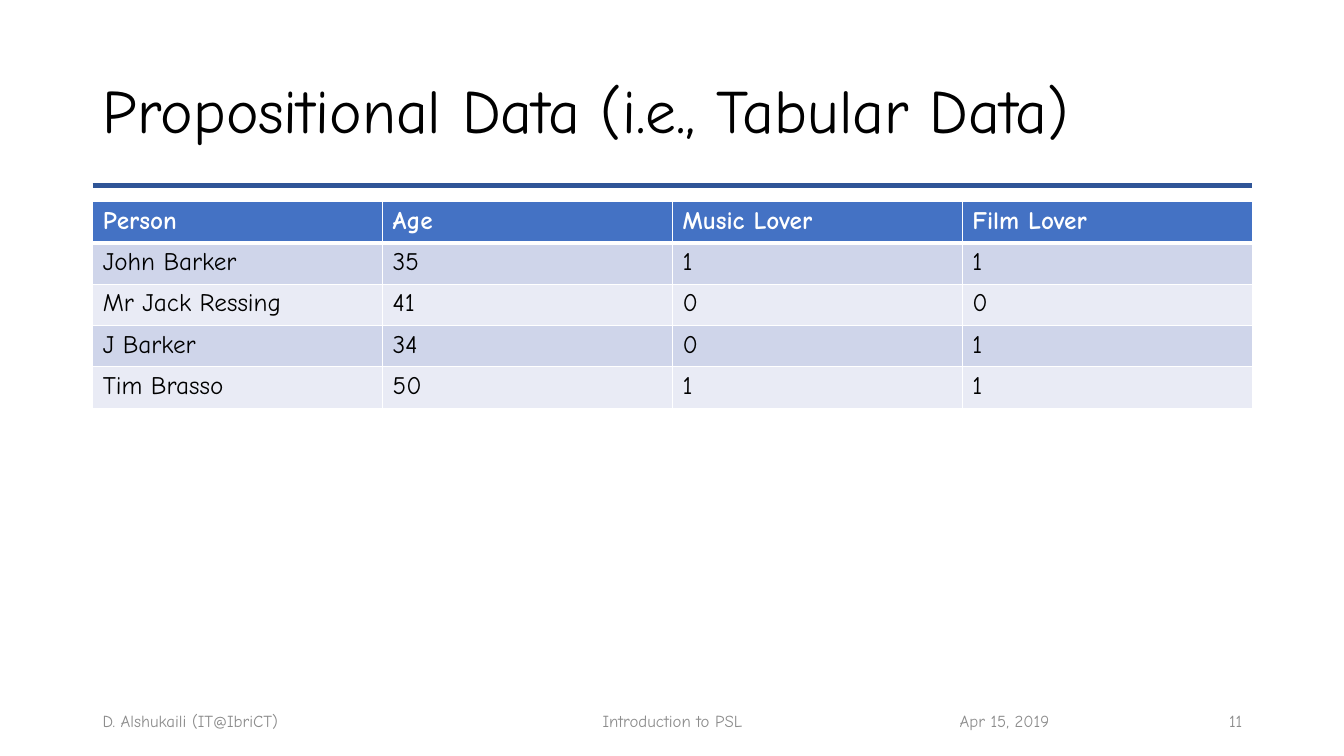
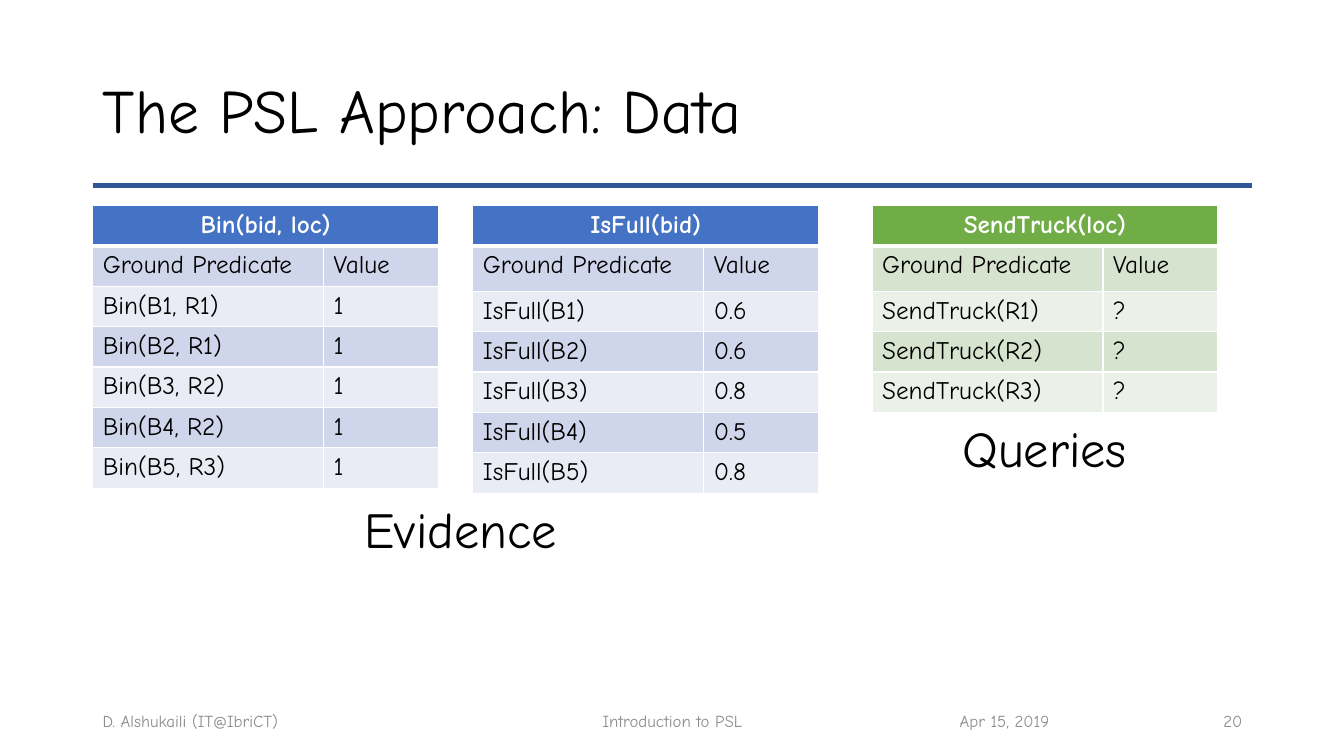
from lxml import etree
from pptx import Presentation
from pptx.dml.color import RGBColor
from pptx.enum.shapes import MSO_CONNECTOR
from pptx.enum.text import MSO_ANCHOR, MSO_AUTO_SIZE, PP_ALIGN
from pptx.oxml import parse_xml
from pptx.oxml.ns import nsdecls, qn
from pptx.util import Inches, Pt

BLUE = ("4472C4", "CFD5EA", "E9EBF5")
GREEN = ("70AD47", "D5E3CF", "EBF1E9")
LEFT, WIDTH = 0.92, 11.5


def rgb(hex_string):
    return RGBColor.from_string(hex_string)


class PslDeck:
    font = "Comic Neue"
    black, white, grey, rule_blue = "000000", "FFFFFF", "8C8C8C", "2F5597"
    author, topic, date = "D. Alshukaili (IT@IbriCT)", "Introduction to PSL", "Apr 15, 2019"

    def __init__(self):
        self.deck = Presentation()
        self.deck.slide_width, self.deck.slide_height = Inches(13.33), Inches(7.5)
        self.page = None

    def set_text(self, frame, text, size, color, align=PP_ALIGN.LEFT, bold=False):
        frame.text = text
        para = frame.paragraphs[0]
        para.alignment = align
        for span in para.runs:
            span.font.name = self.font
            span.font.size = Pt(size)
            span.font.bold = bold
            span.font.color.rgb = rgb(color)
        return para

    def add_page(self, title, number):
        self.page = self.deck.slides.add_slide(self.deck.slide_layouts[5])
        self.title(title)
        self.rule()
        self.footer(number)

    def title(self, text):
        box = self.page.shapes.title
        box.left, box.top = Inches(LEFT), Inches(0.4)
        box.width, box.height = Inches(WIDTH), Inches(1.45)
        frame = box.text_frame
        frame.word_wrap = True
        frame.auto_size = MSO_AUTO_SIZE.NONE
        frame.vertical_anchor = MSO_ANCHOR.MIDDLE
        self.set_text(frame, text, 44, self.black).line_spacing = 0.9

    def rule(self):
        line = self.page.shapes.add_connector(
            MSO_CONNECTOR.STRAIGHT, Inches(LEFT), Inches(1.84), Inches(LEFT + WIDTH), Inches(1.84))
        line.line.color.rgb = rgb(self.rule_blue)
        line.line.width = Pt(3)
        etree.SubElement(line._element.spPr, qn("a:effectLst"))

    def footer(self, number):
        for text, left, width, align in (
            (self.author, LEFT, 3, PP_ALIGN.LEFT),
            (self.topic, 4.42, 4.5, PP_ALIGN.CENTER),
            (self.date, 9.42, 3, PP_ALIGN.LEFT),
            (str(number), 9.42, 3, PP_ALIGN.RIGHT),
        ):
            self.text(text, left, 6.95, width, 0.4, 12, self.grey, align, MSO_ANCHOR.MIDDLE)

    def text(self, text, left, top, width, height, size, color, align, anchor=MSO_ANCHOR.TOP):
        box = self.page.shapes.add_textbox(Inches(left), Inches(top), Inches(width), Inches(height))
        box.text_frame.word_wrap = True
        box.text_frame.vertical_anchor = anchor
        self.set_text(box.text_frame, text, size, color, align)

    def caption(self, text, left, top, width):
        self.text(text, left, top, width, 0.71, 36, self.black, PP_ALIGN.CENTER)

    def borders(self, cell, row):
        """Draw thin white edges, with a thick one between header and body."""
        widths = {"L": 1, "R": 1, "T": 3 if row == 1 else 1, "B": 3 if row == 0 else 1}
        properties = cell._tc.get_or_add_tcPr()
        for side, width in widths.items():
            properties.append(parse_xml(
                f'<a:ln{side} {nsdecls("a")} w="{Pt(width)}"><a:solidFill>'
                f'<a:srgbClr val="{self.white}"/></a:solidFill></a:ln{side}>'))

    def table(self, rows, left, top, columns, heights, colors, merged=False):
        """Add a banded table; merged spreads the first cell over the header row."""
        frame = self.page.shapes.add_table(
            len(rows), len(columns), Inches(left), Inches(top),
            Inches(sum(columns)), Inches(sum(heights)))
        table = frame.table
        for column, width in zip(table.columns, columns):
            column.width = Inches(width)
        for table_row, height in zip(table.rows, heights):
            table_row.height = Inches(height)
        header, odd, even = colors
        for r, row in enumerate(rows):
            fill = header if r == 0 else odd if r % 2 else even
            for c in range(len(columns)):
                cell = table.cell(r, c)
                self.borders(cell, r)
                cell.fill.solid()
                cell.fill.fore_color.rgb = rgb(fill)
                if c < len(row):
                    align = PP_ALIGN.CENTER if merged and r == 0 else PP_ALIGN.LEFT
                    self.set_text(cell.text_frame, row[c], 18,
                                  self.white if r == 0 else self.black, align, r == 0)
        if merged:
            table.cell(0, 0).merge(table.cell(0, len(columns) - 1))

    def predicate_table(self, predicate, values, left, colors, label_height=0.45):
        rows = [(predicate,), ("Ground Predicate", "Value"), *values]
        heights = [0.39, label_height] + [0.39] * len(values)
        self.table(rows, left, 2.04, [2.29, 1.14], heights, colors, merged=True)


def main():
    psl = PslDeck()

    psl.add_page("Propositional Data (i.e., Tabular Data)", 11)
    people = [
        ("Person", "Age", "Music Lover", "Film Lover"),
        ("John Barker", "35", "1", "1"),
        ("Mr Jack Ressing", "41", "0", "0"),
        ("J Barker", "34", "0", "1"),
        ("Tim Brasso", "50", "1", "1"),
    ]
    psl.table(people, LEFT, 2, [WIDTH / 4] * 4, [0.41] * len(people), BLUE)

    psl.add_page("The PSL Approach: Data", 20)
    bin_regions = ("R1", "R1", "R2", "R2", "R3")
    fullness = ("0.6", "0.6", "0.8", "0.5", "0.8")
    bins = [(f"Bin(B{i}, {region})", "1") for i, region in enumerate(bin_regions, 1)]
    full = [(f"IsFull(B{i})", value) for i, value in enumerate(fullness, 1)]
    trucks = [(f"SendTruck(R{i})", "?") for i in range(1, 4)]
    psl.predicate_table("Bin(bid, loc)", bins, LEFT, BLUE, label_height=0.39)
    psl.predicate_table("IsFull(bid)", full, 4.69, BLUE)
    psl.predicate_table("SendTruck(loc)", trucks, 8.65, GREEN)
    psl.caption("Evidence", 1.02, 4.89, 7.1)
    psl.caption("Queries", 8.86, 4.09, 3)

    psl.deck.save("out.pptx")


if __name__ == "__main__":
    main()
